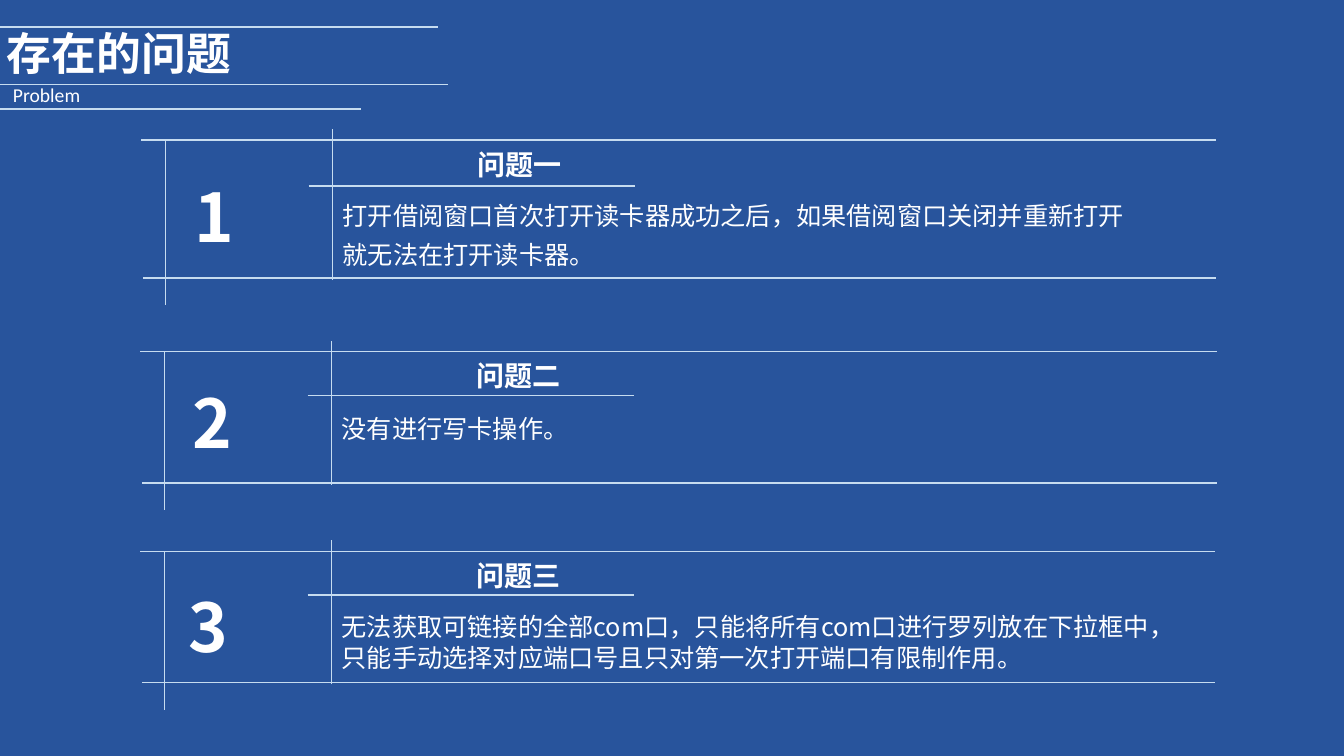
from lxml import etree
from pptx import Presentation
from pptx.dml.color import RGBColor
from pptx.enum import shapes, text as tx
from pptx.oxml.ns import qn
from pptx.util import Inches, Pt

COLORS = {"back": "28549C", "line": "C6DCF0", "text": "FFFFFF"}
CJK = "Noto Sans CJK SC"

# box, number, number offset, heading, body, body offset, body width, spacing
PANELS = [
    ((1.4, 1.39, 10.66, 1.37), "1", (0.43, 0.3), "问题一",
     "打开借阅窗口首次打开读卡器成功之后，如果借阅窗口关闭并重新打开就无法在打开读卡器。",
     0.46, 8.1, 1.3),
    ((1.39, 3.49, 10.68, 1.3), "2", (0.42, 0.24), "问题二",
     "没有进行写卡操作。", 0.56, 8.59, 1.0),
    ((1.39, 5.47, 10.66, 1.3), "3", (0.38, 0.29), "问题三",
     "无法获取可链接的全部com口，只能将所有com口进行罗列放在下拉框中，"
     "只能手动选择对应端口号且只对第一次打开端口有限制作用。", 0.55, 8.22, 1.0),
]


def color(name):
    return RGBColor.from_string(COLORS[name])


def add_line(slide, x1, y1, x2, y2):
    line = slide.shapes.add_connector(
        shapes.MSO_CONNECTOR.STRAIGHT,
        Inches(x1), Inches(y1), Inches(x2), Inches(y2))
    line.line.color.rgb = color("line")
    line.line.width = Pt(1)
    etree.SubElement(line._element.spPr, qn("a:effectLst"))


def add_text(slide, words, x, y, w, h, size=18, bold=False, face=CJK,
             align=tx.PP_ALIGN.LEFT, spacing=1.0):
    box = slide.shapes.add_textbox(Inches(x), Inches(y), Inches(w), Inches(h))
    frame = box.text_frame
    frame.word_wrap = True
    para = frame.paragraphs[0]
    para.alignment = align
    para.line_spacing = spacing
    run = para.add_run()
    run.text = words
    font = run.font
    font.size, font.bold, font.name = Pt(size), bold, face
    font.color.rgb = color("text")
    east = etree.SubElement(run._r.get_or_add_rPr(), qn("a:ea"))
    east.set("typeface", face)


def add_title(slide, x, y):
    for end, drop in ((4.34, 0), (4.44, 0.57), (3.58, 0.81)):
        add_line(slide, x, y + drop, end, y + drop)
    add_text(slide, "存在的问题", x - 0.03, y - 0.06, 2.94, 0.64,
             size=32, bold=True)
    add_text(slide, "Problem", x + 0.03, y + 0.5, 2.02, 0.34,
             size=14, face="Calibri")


def add_panel(slide, box, number, shift, head, body, drop, width, spacing):
    """Draw one numbered problem inside its frame of crossing lines."""
    x, y, w, h = box
    right, low, rule = x + w, y + h, y + h / 3
    add_line(slide, x, y, right, y)
    add_line(slide, x + 0.02, low, right, low)
    add_line(slide, x + 0.24, y, x + 0.24, low + 0.27)
    add_line(slide, x + 1.9, low + 0.02, x + 1.9, y - 0.11)
    add_line(slide, x + 1.66, rule, x + 4.9, rule)
    add_text(slide, number, x + shift[0], y + shift[1], 1.32, 0.83,
             size=48, bold=True)
    add_text(slide, head, x + 0.95, y + 0.02, 3.32, 0.4,
             size=20, bold=True, align=tx.PP_ALIGN.RIGHT)
    add_text(slide, body, x + 1.9, y + drop, width, h - drop, spacing=spacing)


def main():
    deck = Presentation()
    deck.slide_width, deck.slide_height = Inches(13.33), Inches(7.5)
    slide = deck.slides.add_slide(deck.slide_layouts[6])
    fill = slide.background.fill
    fill.solid()
    fill.fore_color.rgb = color("back")
    for panel in PANELS:
        add_panel(slide, *panel)
    add_title(slide, 0, 0.27)
    deck.save("out.pptx")


if __name__ == "__main__":
    main()
